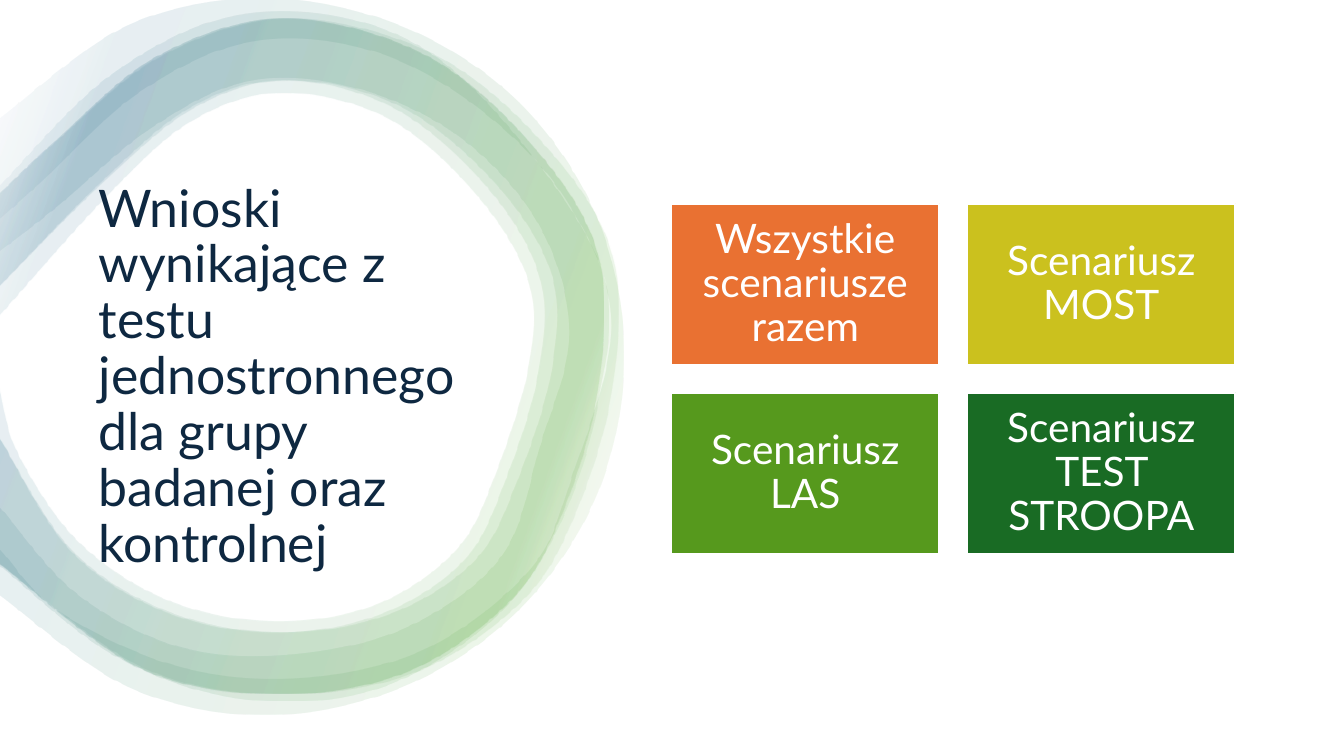
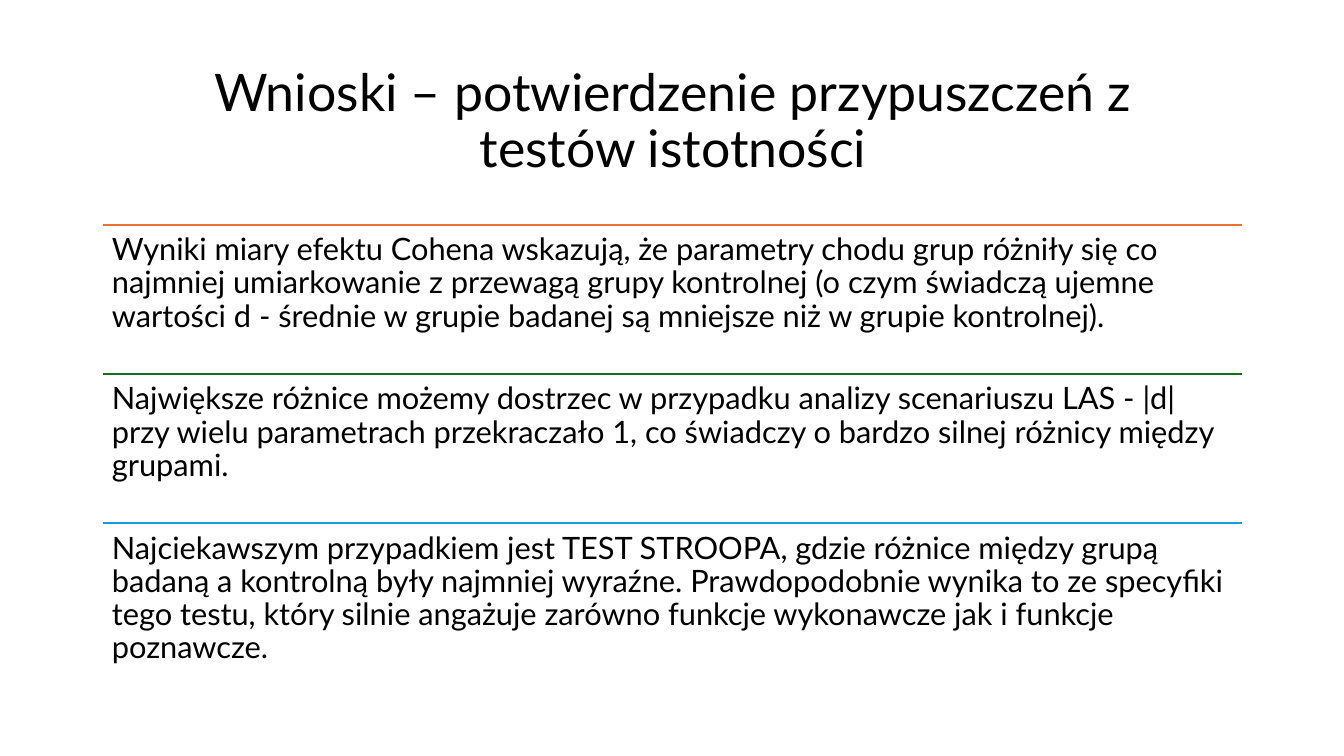
from dataclasses import dataclass
from typing import NamedTuple

from lxml import etree
from pptx import Presentation
from pptx.dml.color import RGBColor
from pptx.enum.shapes import MSO_CONNECTOR, MSO_SHAPE
from pptx.enum.text import MSO_ANCHOR, PP_ALIGN
from pptx.oxml.ns import qn
from pptx.util import Pt

RECT = MSO_SHAPE.RECTANGLE
LINE = MSO_CONNECTOR.STRAIGHT
LEFT, MID = PP_ALIGN.LEFT, PP_ALIGN.CENTER
TOP, CORE = MSO_ANCHOR.TOP, MSO_ANCHOR.MIDDLE


@dataclass(frozen=True)
class Theme:
    font: str = "Lato"
    white: str = "FFFFFF"
    black: str = "000000"
    navy: str = "0E2841"
    orange: str = "E97132"
    olive: str = "CBC11E"
    lime: str = "56991D"
    green: str = "196B24"
    blue: str = "0F9ED5"
    leaf: str = "4EA72E"
    teal: str = "156082"
    head: float = 37
    label: float = 29
    body: float = 22
    rule: float = 1.5
    lead: float = 0.9


THEME = Theme()


class Box(NamedTuple):
    x: float
    y: float
    w: float
    h: float


class Style(NamedTuple):
    size: float
    color: str
    align: PP_ALIGN
    anchor: MSO_ANCHOR
    pad_x: float
    pad_y: float


class Item(NamedTuple):
    text: str
    color: str


Curve = list[tuple[float, float]]


class Ring(NamedTuple):
    outer: Curve
    inner: Curve
    stretch: float = 1


HEAD = Style(THEME.head, THEME.navy, LEFT, CORE, 7.2, 3.6)
HEAD_MID = HEAD._replace(color=THEME.black, align=MID)
LABEL = Style(THEME.label, THEME.white, MID, CORE, 8.7, 8.7)
BODY = Style(THEME.body, THEME.black, LEFT, TOP, 6.6, 6.6)

TILE, TILE_GAP, COLS = Box(479.5, 145.5, 191.5, 115), 20, 2
ROW = Box(73.4, 160.5, 813.6, 106.6)

TILES = [
    Item("Wszystkie scenariusze razem", THEME.orange),
    Item("Scenariusz MOST", THEME.olive),
    Item("Scenariusz LAS", THEME.lime),
    Item("Scenariusz TEST STROOPA", THEME.green),
]
ROWS = [
    Item("Wyniki miary efektu Cohena wskazują, że parametry chodu grup różniły się "
         "co najmniej umiarkowanie z przewagą grupy kontrolnej (o czym świadczą "
         "ujemne wartości d - średnie w grupie badanej są mniejsze niż w grupie "
         "kontrolnej).", THEME.orange),
    Item("Największe różnice możemy dostrzec w przypadku analizy scenariuszu LAS - "
         "|d| przy wielu parametrach przekraczało 1, co świadczy o bardzo silnej "
         "różnicy między grupami.", THEME.green),
    Item("Najciekawszym przypadkiem jest TEST STROOPA, gdzie różnice między grupą "
         "badaną a kontrolną były najmniej wyraźne. Prawdopodobnie wynika to ze "
         "specyfiki tego testu, który silnie angażuje zarówno funkcje wykonawcze "
         "jak i funkcje poznawcze.", THEME.blue),
]

WAVE_OUT: Curve = [
    (0, 132), (78, 54), (168, 11), (269, 19), (348, 74), (428, 189), (427, 285),
    (397, 379), (347, 446), (264, 493), (168, 498), (80, 467), (0, 404),
]
WAVE_IN: Curve = [
    (0, 362), (55, 424), (130, 462), (214, 466), (293, 446), (358, 396),
    (385, 318), (406, 237), (384, 160), (328, 98), (254, 63), (177, 58),
    (108, 91), (41, 147), (0, 179),
]
BAND_OUT: Curve = [
    (0, 138), (40, 100), (112, 40), (201, 13), (301, 38), (378, 102), (426, 181),
    (426, 278), (399, 370), (362, 430), (288, 480), (195, 495), (99, 476),
    (0, 402),
]
THICK_IN: Curve = [
    (0, 276), (13, 323), (56, 386), (120, 428), (195, 443), (268, 431), (325, 392),
    (353, 338), (377, 259), (376, 199), (338, 137), (276, 84), (201, 66),
    (137, 86), (78, 138), (0, 225),
]
THIN_IN: Curve = [
    (0, 312), (50, 392), (117, 436), (195, 451), (271, 438), (331, 399),
    (361, 340), (384, 263), (384, 196), (345, 131), (279, 76), (201, 57),
    (135, 77), (71, 131), (0, 204),
]
DISC_OUT: Curve = [
    (0, 84), (91, 18), (189, -1), (287, 19), (370, 73), (426, 156), (445, 254),
    (426, 352), (370, 435), (287, 490), (189, 510), (91, 490), (0, 425),
]
DISC_IN: Curve = [
    (0, 392), (43, 437), (129, 476), (219, 483), (305, 462), (377, 407),
    (406, 345), (436, 232), (405, 145), (342, 78), (264, 36), (178, 30),
    (99, 66), (30, 129), (0, 156),
]
RINGS = [
    Ring(WAVE_OUT, WAVE_IN),
    Ring(BAND_OUT, THIN_IN, 1.025),
    Ring(BAND_OUT, THICK_IN),
    Ring(BAND_OUT, THIN_IN),
    Ring(DISC_OUT, DISC_IN),
]
STOPS = [(2, THEME.white), (16, THEME.leaf), (85, THEME.teal), (100, THEME.white)]
ALPHA, ANGLE = 10, 200


def bends(curve: Curve) -> list[Curve]:
    ends = [curve[0], *curve, curve[-1]]
    return [
        [
            (max(0, b[0] + (c[0] - a[0]) / 6), b[1] + (c[1] - a[1]) / 6),
            (max(0, c[0] - (d[0] - b[0]) / 6), c[1] - (d[1] - b[1]) / 6),
            c,
        ]
        for a, b, c, d in zip(ends, ends[1:], ends[2:], ends[3:])
    ]


def bend(shape, outer: Curve, inner: Curve) -> None:
    track = shape.element.spPr.find(".//" + qn("a:path"))
    parts = [*bends(outer), [inner[0]], *bends(inner)]
    for line, part in zip(track.findall(qn("a:lnTo")), parts):
        if len(part) == 1:
            continue
        arc = etree.Element(qn("a:cubicBezTo"))
        for x, y in part:
            etree.SubElement(arc, qn("a:pt"), x=str(round(x - shape.left)),
                             y=str(round(y - shape.top)))
        track.replace(line, arc)


def fade(shape) -> None:
    grad = etree.SubElement(shape.element.spPr, qn("a:gradFill"), rotWithShape="1")
    stops = etree.SubElement(grad, qn("a:gsLst"))
    for place, color in STOPS:
        stop = etree.SubElement(stops, qn("a:gs"), pos=str(place * 1000))
        tint = etree.SubElement(stop, qn("a:srgbClr"), val=color)
        etree.SubElement(tint, qn("a:alpha"), val=str(ALPHA * 1000))
    etree.SubElement(grad, qn("a:lin"), ang=str(ANGLE * 60000), scaled="0")


def add_ring(slide, ring: Ring) -> None:
    outer, inner = (
        [(Pt(x * ring.stretch), Pt(y)) for x, y in curve]
        for curve in (ring.outer, ring.inner)
    )
    pen = slide.shapes.build_freeform(*outer[0])
    pen.add_line_segments(outer[1:] + inner)
    shape = pen.convert_to_shape()
    bend(shape, outer, inner)
    fade(shape)
    shape.line.fill.background()
    shape.shadow.inherit = False


def write(shape, text: str, style: Style) -> None:
    frame = shape.text_frame
    frame.text = text
    para = frame.paragraphs[0]
    font = para.font
    formats = [
        (frame, {
            "word_wrap": True, "vertical_anchor": style.anchor,
            "margin_left": Pt(style.pad_x), "margin_right": Pt(style.pad_x),
            "margin_top": Pt(style.pad_y), "margin_bottom": Pt(style.pad_y),
        }),
        (para, {"alignment": style.align, "line_spacing": THEME.lead}),
        (font, {"name": THEME.font, "size": Pt(style.size)}),
    ]
    for target, values in formats:
        for name, value in values.items():
            setattr(target, name, value)
    font.color.rgb = RGBColor.from_string(style.color)


def add_text(slide, box: Box, text: str, style: Style) -> None:
    write(slide.shapes.add_textbox(*map(Pt, box)), text, style)


def add_tile(slide, box: Box, item: Item) -> None:
    shape = slide.shapes.add_shape(RECT, *map(Pt, box))
    shape.shadow.inherit = False
    shape.fill.solid()
    shape.fill.fore_color.rgb = RGBColor.from_string(item.color)
    shape.line.color.rgb = RGBColor.from_string(THEME.white)
    shape.line.width = Pt(THEME.rule)
    write(shape, item.text, LABEL)


def add_row(slide, box: Box, item: Item) -> None:
    ends = map(Pt, (box.x, box.y, box.x + box.w, box.y))
    rule = slide.shapes.add_connector(LINE, *ends)
    rule.line.color.rgb = RGBColor.from_string(item.color)
    rule.line.width = Pt(THEME.rule)
    etree.SubElement(rule._element.spPr, qn("a:effectLst"))
    add_text(slide, box, item.text, BODY)


def draw_tiles(slide) -> None:
    for ring in RINGS:
        add_ring(slide, ring)
    add_text(slide, Box(63.4, 159, 288, 222),
             "Wnioski wynikające z testu jednostronnego dla grupy badanej oraz "
             "kontrolnej", HEAD)
    for i, item in enumerate(TILES):
        row, col = divmod(i, COLS)
        x = TILE.x + col * (TILE.w + TILE_GAP)
        y = TILE.y + row * (TILE.h + TILE_GAP)
        add_tile(slide, TILE._replace(x=x, y=y), item)


def draw_rows(slide) -> None:
    add_text(slide, Box(120, 43, 721.5, 89.5),
             "Wnioski – potwierdzenie przypuszczeń z testów istotności", HEAD_MID)
    for i, item in enumerate(ROWS):
        add_row(slide, ROW._replace(y=ROW.y + i * ROW.h), item)


def main() -> None:
    deck = Presentation()
    deck.slide_width, deck.slide_height = Pt(960), Pt(540)
    blank = deck.slide_layouts[6]
    for draw in (draw_tiles, draw_rows):
        draw(deck.slides.add_slide(blank))
    deck.save("out.pptx")


if __name__ == "__main__":
    main()
